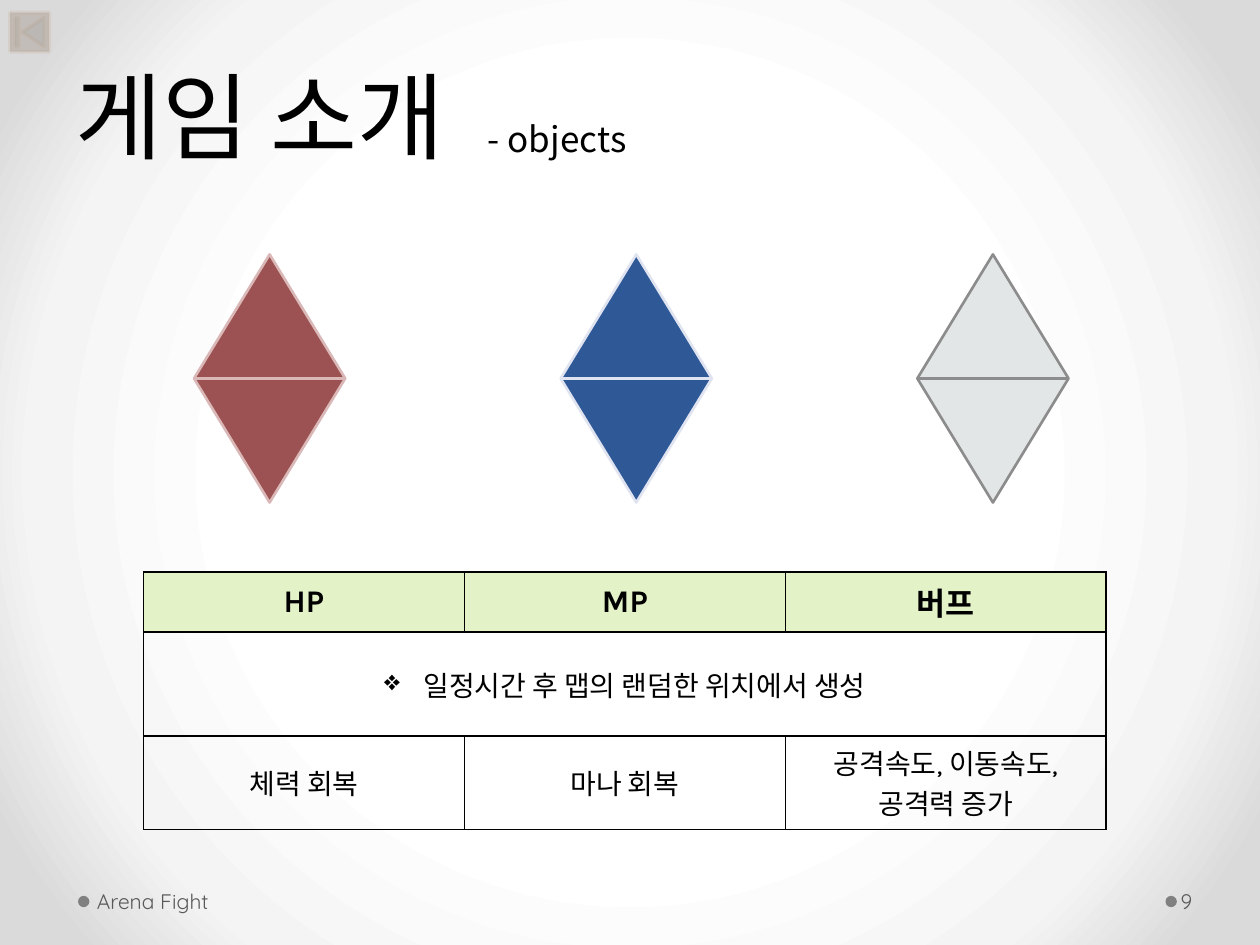
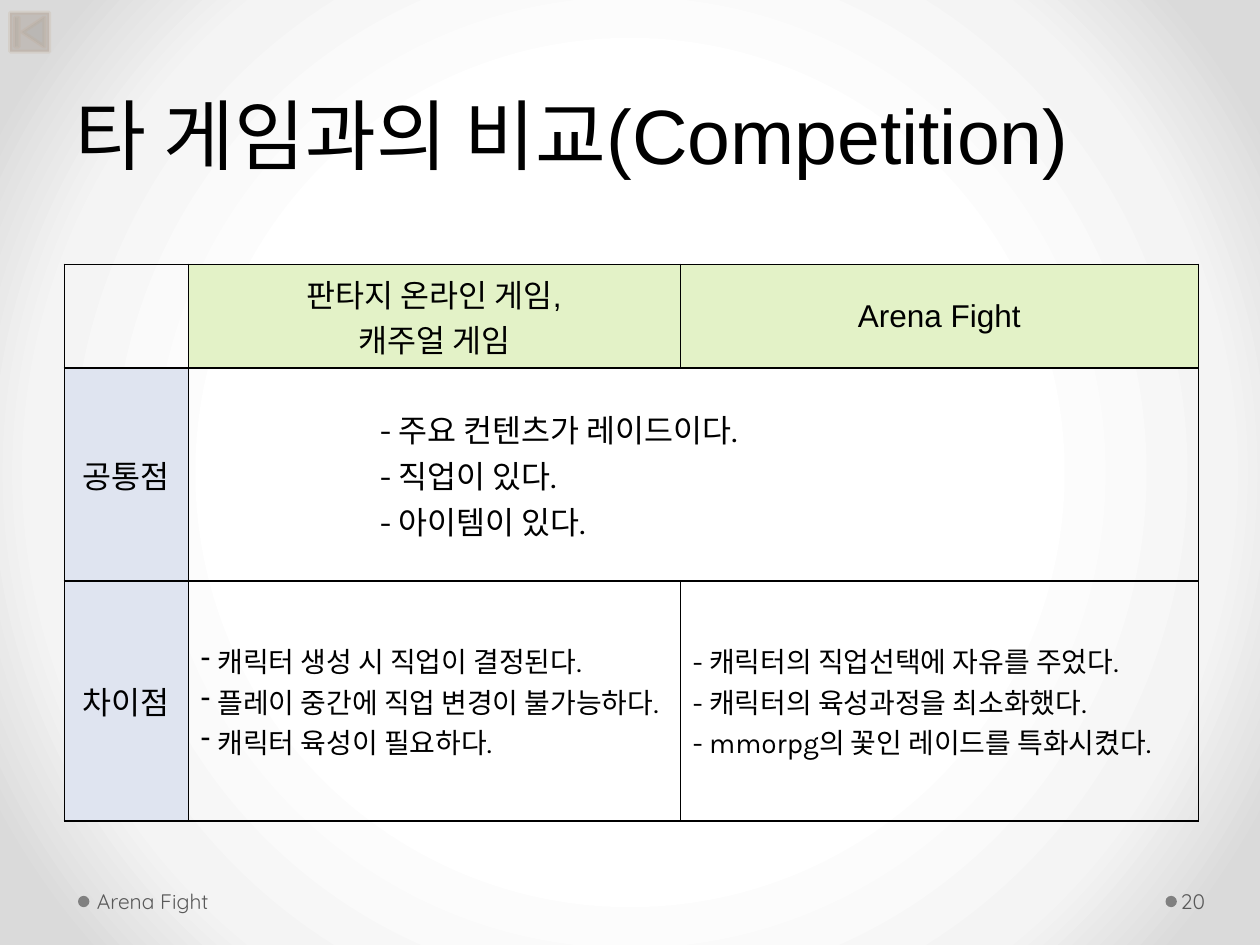
from lxml import etree
from pptx import Presentation
from pptx.dml.color import RGBColor
from pptx.enum import shapes, text
from pptx.oxml import parse_xml
from pptx.oxml.ns import nsdecls, qn
from pptx.util import Pt

BLACK, GREY, DARK_GREY = "000000", "808080", "595959"
GREEN, LILAC = "E3F2C7", "DFE4F0"
NOTO, KARLA, ARIAL = "Noto Sans CJK KR", "Karla", "Arial"
LEFT, CENTER = text.PP_ALIGN.LEFT, text.PP_ALIGN.CENTER
MIDDLE = text.MSO_ANCHOR.MIDDLE
SHAPE = shapes.MSO_SHAPE


def paint(fill, color):
    fill.solid()
    fill.fore_color.rgb = RGBColor.from_string(color)


def style(r, size, font, color=BLACK, bold=False):
    r.font.size, r.font.name, r.font.bold = Pt(size), font, bold
    paint(r.font.fill, color)
    etree.SubElement(r.font._element, qn("a:ea"), typeface=NOTO)


prs = Presentation()
prs.slide_width, prs.slide_height = Pt(720), Pt(540)

# Shared background: white centre fading to grey corners
master = prs.slide_master
master.background.fill.gradient()
grad = master.element.find(".//" + qn("p:bg")).find(".//" + qn("a:gradFill"))
stops = "".join(f'<a:gs pos="{pos}000"><a:srgbClr val="{color}"/></a:gs>'
                for pos, color in [(50, "FFFFFF"), (76, "F4F4F4"), (92, "DADADA")])
grad.getparent().replace(grad, parse_xml(
    f'<a:gradFill {nsdecls("a")} rotWithShape="1"><a:gsLst>{stops}</a:gsLst><a:path path="circle">'
    '<a:fillToRect l="50000" t="50000" r="50000" b="50000"/></a:path></a:gradFill>'))

# Per slide: title top, title runs, page number, crystals, table
crystals = [(110.9, "9C5252", "DAB8B8"), (320.4, "2F5897", LILAC), (524.2, "E3E6E7", "8C8C8C")]

# Cell: row, column, lines, fill, size, font, alignment, bold, bullet, left margin, hanging
objects_cells = [
    (0, col, [name], GREEN, 18, KARLA, CENTER, True, None, 0, 0)
    for col, name in enumerate(["HP", "MP", "버프"])
] + [
    (1, 0, ["일정시간 후 맵의 랜덤한 위치에서 생성"], None, 16, KARLA, CENTER, False, "❖", 22.5, 22.5),
] + [
    (2, col, [effect], None, 16, KARLA, CENTER, False, None, 0, 0)
    for col, effect in enumerate(["체력 회복", "마나 회복", "공격속도, 이동속도, 공격력 증가"])
]

rival_traits = ["캐릭터 생성 시 직업이 결정된다.", "플레이 중간에 직업 변경이 불가능하다.", "캐릭터 육성이 필요하다."]
our_traits = ["- 캐릭터의 직업선택에 자유를 주었다.", "- 캐릭터의 육성과정을 최소화했다.",
              "- mmorpg의 꽃인 레이드를 특화시켰다."]
common = ["- 주요 컨텐츠가 레이드이다.", "- 직업이 있다.", "- 아이템이 있다."]
compare_cells = [
    (0, 1, ["판타지 온라인 게임,", "캐주얼 게임"], GREEN, 18, ARIAL, CENTER, False, None, 0, 0),
    (0, 2, ["Arena Fight"], GREEN, 18, ARIAL, CENTER, False, None, 0, 0),
    (1, 0, ["공통점"], LILAC, 18, ARIAL, CENTER, False, None, 0, 0),
    (1, 1, common, None, 18, KARLA, LEFT, False, None, 102.5, 0),
    (2, 0, ["차이점"], LILAC, 18, ARIAL, CENTER, False, None, 0, 0),
    (2, 1, rival_traits, None, 16, KARLA, LEFT, False, "-", 9.5, 9.5),
    (2, 2, our_traits, None, 16, KARLA, LEFT, False, None, 0, 0),
]

slides = [
    (-24.5, [("게임 소개", 54, NOTO), ("\t- objects", 20, NOTO)], "9", crystals,
     (82, 326.9), [183.4] * 3, [34.3, 59.4, 53.3], objects_cells, (0, 2)),
    (-19.4, [("타 게임과의 비교(Competition)", 44, ARIAL)], "20", [],
     (36.8, 151), [70.8, 281.2, 296], [59.4, 121.7, 137], compare_cells, (1, 2)),
]

for top, title_runs, page, diamonds, origin, widths, heights, cells, merged in slides:
    s = prs.slides.add_slide(prs.slide_layouts[5])

    # Title
    title = s.shapes.title
    title.left, title.top, title.width, title.height = Pt(36), Pt(top), Pt(648), Pt(126)
    tf = title.text_frame
    tf.auto_size, tf.vertical_anchor = text.MSO_AUTO_SIZE.NONE, text.MSO_ANCHOR.BOTTOM
    p = tf.paragraphs[0]
    p.alignment, p.line_spacing = LEFT, Pt(58)
    if len(title_runs) > 1:
        tabs = etree.SubElement(p._p.get_or_add_pPr(), qn("a:tabLst"))
        etree.SubElement(tabs, qn("a:tab"), pos=str(Pt(235.5)), algn="l")
    for words, size, font in title_runs:
        r = p.add_run()
        r.text = words
        style(r, size, font)

    # Footer dots, crystals and back button
    items = [(SHAPE.OVAL, x, 511.9, 6.5, 6.5, GREY, None, 0) for x in (666, 44.6)]
    items += [(SHAPE.FLOWCHART_SORT, x, 145.4, 86.4, 141.8, fill, line, 1.5) for x, fill, line in diamonds]
    items += [(SHAPE.ACTION_BUTTON_BEGINNING, 5.8, 7.2, 22.3, 22.3, "634D36", "BEA388", 2.25)]
    for kind, x, y, w, h, fill, line, weight in items:
        sp = s.shapes.add_shape(kind, Pt(x), Pt(y), Pt(w), Pt(h))
        sp.shadow.inherit = False
        paint(sp.fill, fill)
        if line:
            paint(sp.line.fill, line)
            sp.line.width = Pt(weight)
        else:
            sp.line.fill.background()
        if kind == SHAPE.ACTION_BUTTON_BEGINNING:
            for color in sp.element.spPr.findall(".//" + qn("a:srgbClr")):
                etree.SubElement(color, qn("a:alpha"), val="20000")

    # Footer and page number
    for words, x, w, left, right in [("Arena Fight", 51.8, 224, 3.6, 7.2), (page, 672.5, 44, 2.2, 3.6)]:
        tf = s.shapes.add_textbox(Pt(x), Pt(500.4), Pt(w), Pt(28.8)).text_frame
        tf.word_wrap, tf.vertical_anchor = True, MIDDLE
        tf.margin_left, tf.margin_right = Pt(left), Pt(right)
        tf.text = words
        style(tf.paragraphs[0].runs[0], 12, "Quicksand", DARK_GREY)

    # Table grid
    table = s.shapes.add_table(3, 3, Pt(origin[0]), Pt(origin[1]), Pt(sum(widths)), Pt(sum(heights))).table
    table.first_row = table.horz_banding = False
    for column, w in zip(table.columns, widths):
        column.width = Pt(w)
    for row, h in zip(table.rows, heights):
        row.height = Pt(h)
    table.cell(1, merged[0]).merge(table.cell(1, merged[1]))
    for cell in table.iter_cells():
        cell.fill.background()
        cell.vertical_anchor = MIDDLE
        for i, side in enumerate("LRTB"):
            cell._tc.get_or_add_tcPr().insert(i, parse_xml(
                f'<a:ln{side} {nsdecls("a")} w="{Pt(1)}"><a:solidFill>'
                f'<a:srgbClr val="{BLACK}"/></a:solidFill></a:ln{side}>'))

    # Table text
    for row, col, lines, fill, size, font, align, bold, bullet, margin, hanging in cells:
        cell = table.cell(row, col)
        if fill:
            paint(cell.fill, fill)
        if align == LEFT:
            cell.margin_right = Pt(2)
        cell.text_frame.text = "\n".join(lines)
        for p in cell.text_frame.paragraphs:
            p.alignment = align
            pPr = p._p.get_or_add_pPr()
            pPr.set("marL", str(Pt(margin)))
            pPr.set("indent", str(-Pt(hanging)))
            if bullet:
                etree.SubElement(pPr, qn("a:buChar"), char=bullet)
            style(p.runs[0], size, font, bold=bold)

prs.save("out.pptx")
